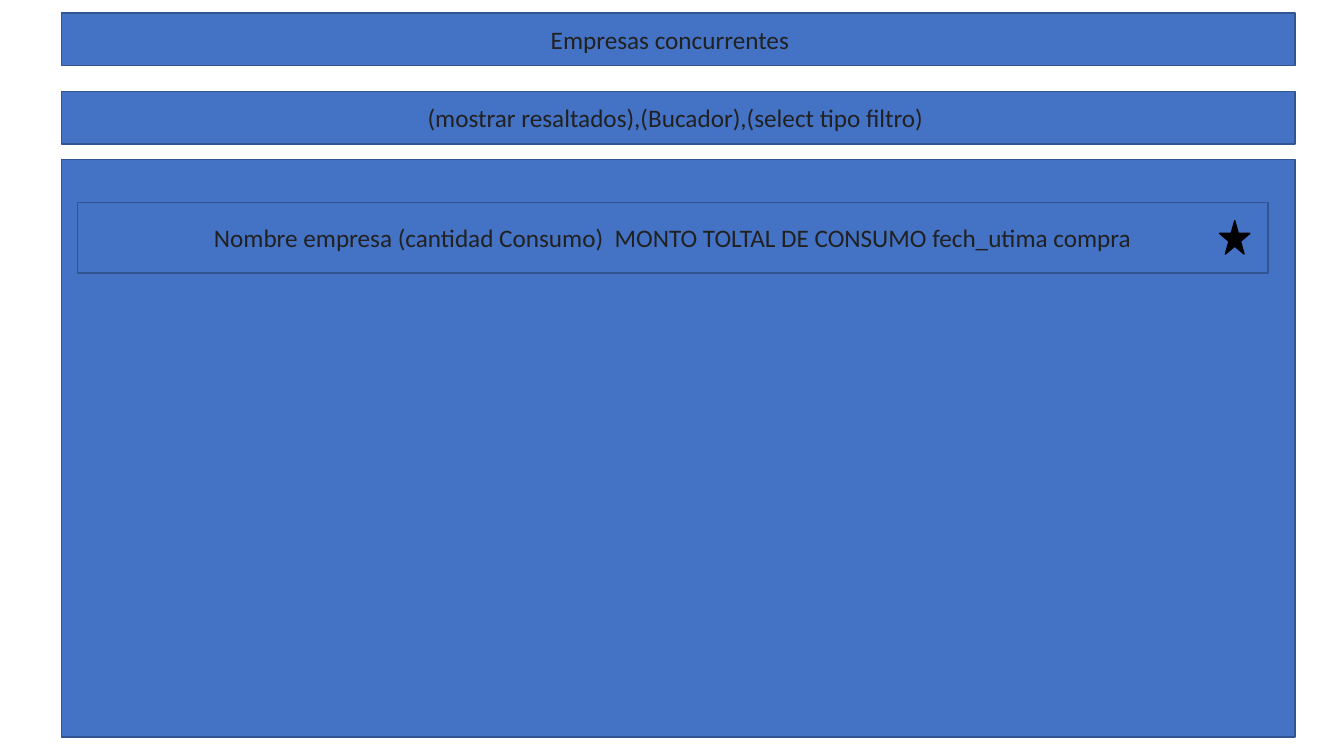
"""Build a wireframe slide listing companies, with a filter bar and a starred row."""
from dataclasses import dataclass

from pptx import Presentation
from pptx import util as u
from pptx.dml.color import RGBColor
from pptx.enum import shapes, text


@dataclass(frozen=True)
class Theme:
    fill: str = "4472C4"
    edge: str = "325491"
    ink: str = "212121"
    star: str = "000000"
    font: str = "Calibri"
    size: float = 18
    line: float = 1
    inset: float = 7.2


THEME = Theme()
LEFT, WIDTH, BAR = 43.9, 881.3, 37.4
KINDS = shapes.MSO_SHAPE


def add_shape(slide, kind, box, fill, edge):
    shape = slide.shapes.add_shape(kind, *(u.Pt(side) for side in box))
    shape.shadow.inherit = False
    shape.fill.solid()
    shape.fill.fore_color.rgb = RGBColor.from_string(fill)
    shape.line.color.rgb = RGBColor.from_string(edge)
    shape.line.width = u.Pt(THEME.line)
    return shape


def add_panel(slide, box):
    return add_shape(slide, KINDS.RECTANGLE, box, THEME.fill, THEME.edge)


def add_label(slide, box, words, shift=0):
    frame = add_panel(slide, box).text_frame
    frame.word_wrap = True
    frame.vertical_anchor = text.MSO_ANCHOR.MIDDLE
    frame.margin_right = u.Pt(THEME.inset + 2 * shift)
    para = frame.paragraphs[0]
    para.text = words
    para.alignment = text.PP_ALIGN.CENTER
    para.font.name = THEME.font
    para.font.size = u.Pt(THEME.size)
    para.font.color.rgb = RGBColor.from_string(THEME.ink)


def add_star(slide, box):
    add_shape(slide, KINDS.STAR_5_POINT, box, THEME.star, THEME.star)


def main():
    deck = Presentation()
    deck.slide_width, deck.slide_height = u.Pt(960), u.Pt(540)
    slide = deck.slides.add_slide(deck.slide_layouts[6])

    add_label(slide, (LEFT, 9.4, WIDTH, BAR), "Empresas concurrentes", shift=6)
    add_panel(slide, (LEFT, 113.8, WIDTH, 412.6))
    add_label(
        slide,
        (55.4, 144.7, 850.3, 50.4),
        "Nombre empresa (cantidad Consumo)  MONTO TOLTAL DE CONSUMO fech_utima compra",
    )
    add_star(slide, (871.2, 157.7, 21.6, 23.8))
    add_label(
        slide,
        (LEFT, 65.5, WIDTH, BAR),
        "(mostrar resaltados),(Bucador),(select tipo filtro)",
        shift=2,
    )
    deck.save("out.pptx")


if __name__ == "__main__":
    main()
